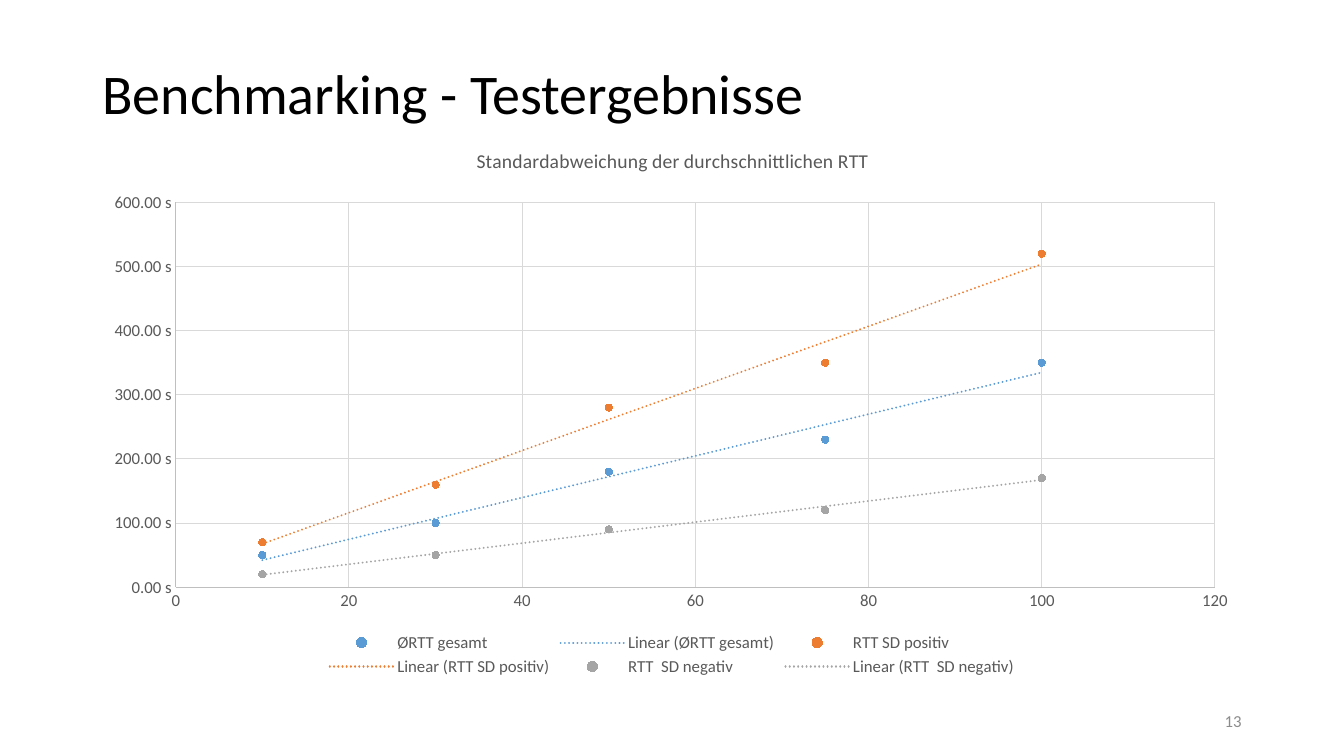
from lxml import etree
from pptx import Presentation
from pptx.chart.data import XyChartData
from pptx.dml.color import RGBColor
from pptx.enum.chart import XL_CHART_TYPE, XL_LEGEND_POSITION, XL_MARKER_STYLE, XL_TICK_MARK
from pptx.enum.text import MSO_ANCHOR, PP_ALIGN
from pptx.oxml import parse_xml
from pptx.oxml.ns import nsdecls, qn
from pptx.util import Cm, Pt

SCATTER = XL_CHART_TYPE.XY_SCATTER
BOTTOM = XL_LEGEND_POSITION.BOTTOM
CIRCLE = XL_MARKER_STYLE.CIRCLE
NO_TICK = XL_TICK_MARK.NONE
MIDDLE = MSO_ANCHOR.MIDDLE
LEFT, RIGHT = PP_ALIGN.LEFT, PP_ALIGN.RIGHT

BLACK = RGBColor(0x00, 0x00, 0x00)
LABEL_GREY = RGBColor(0x59, 0x59, 0x59)
NUMBER_GREY = RGBColor(0x8C, 0x8C, 0x8C)
AXIS_GREY = RGBColor(0xBF, 0xBF, 0xBF)
GRID_GREY = RGBColor(0xD9, 0xD9, 0xD9)
BLUE = RGBColor(0x5B, 0x9B, 0xD5)
ORANGE = RGBColor(0xED, 0x7D, 0x31)
GREY = RGBColor(0xA5, 0xA5, 0xA5)
FONT = "Calibri"

TITLE = "Benchmarking - Testergebnisse"
CHART_TITLE = "Standardabweichung der durchschnittlichen RTT"
PAGE_NUMBER = "13"
CLIENTS = [10, 30, 50, 75, 100]
SERIES = [
    ("ØRTT gesamt", BLUE, [50, 100, 180, 230, 350]),
    ("RTT SD positiv", ORANGE, [70, 160, 280, 350, 520]),
    ("RTT  SD negativ", GREY, [20, 50, 90, 120, 170]),
]
# maximum, step, number format
X_SCALE = (120, 20, "General")
Y_SCALE = (600, 100, '0.00" s"')

MARGIN, CONTENT_WIDTH = Cm(2.33), Cm(29.21)
CHART_HEIGHT = Cm(13.92)
NUMBER_WIDTH = Cm(7.62)
# measured from the chart's top left corner
TITLE_POSITION = {"x": Cm(9.59), "y": Cm(0.4)}
PLOT_POSITION = {"x": Cm(2.1), "y": Cm(1.87), "w": Cm(26.19), "h": Cm(9.7)}


def style_font(font, size, color):
    font.name = FONT
    font.size = Pt(size)
    font.color.rgb = color


def write(frame, text, size, color, align=None):
    para = frame.paragraphs[0]
    para.alignment = align
    span = para.add_run()
    span.text = text
    span.font.bold = False
    style_font(span.font, size, color)
    return para


def style_line(line, color):
    line.color.rgb = color
    line.width = Pt(0.75)


def style_axis(axis, scale):
    axis.minimum_scale = 0
    axis.maximum_scale, axis.major_unit, number_format = scale
    axis.major_tick_mark = axis.minor_tick_mark = NO_TICK
    axis.has_major_gridlines = True
    style_line(axis.major_gridlines.format.line, GRID_GREY)
    style_line(axis.format.line, AXIS_GREY)
    labels = axis.tick_labels
    labels.number_format = number_format
    labels.number_format_is_linked = False
    style_font(labels.font, 12, LABEL_GREY)


def place(element, index, position):
    """Give a chart part a manual layout, as fractions of the chart."""
    layout = element.find(qn("c:layout"))
    if layout is None:
        layout = parse_xml(f"<c:layout {nsdecls('c')}/>")
        element.insert(index, layout)
    manual = etree.SubElement(layout, qn("c:manualLayout"))
    if "w" in position:
        etree.SubElement(manual, qn("c:layoutTarget")).set("val", "inner")
    for side in ("x", "y"):
        etree.SubElement(manual, qn(f"c:{side}Mode")).set("val", "edge")
    for key, length in position.items():
        whole = CONTENT_WIDTH if key in "xw" else CHART_HEIGHT
        etree.SubElement(manual, qn(f"c:{key}")).set("val", str(length / whole))


def add_trend(series_element, color):
    trend = parse_xml(
        f'<c:trendline {nsdecls("c", "a")}><c:spPr><a:ln w="19050" cap="rnd">'
        f'<a:solidFill><a:srgbClr val="{color}"/></a:solidFill>'
        '<a:prstDash val="sysDot"/></a:ln></c:spPr>'
        '<c:trendlineType val="linear"/><c:dispRSqr val="0"/>'
        '<c:dispEq val="0"/></c:trendline>')
    series_element.find(qn("c:xVal")).addprevious(trend)


def add_rtt_chart(page):
    data = XyChartData()
    for name, _, times in SERIES:
        series = data.add_series(name)
        for clients, time in zip(CLIENTS, times):
            series.add_data_point(clients, time)
    chart = page.shapes.add_chart(
        SCATTER, MARGIN, Cm(3.23), CONTENT_WIDTH, CHART_HEIGHT, data).chart
    style_font(chart.font, 12, BLACK)

    chart.has_title = True
    write(chart.chart_title.text_frame, CHART_TITLE, 14, LABEL_GREY)
    place(chart.element.xpath(".//c:chart/c:title")[0], 1, TITLE_POSITION)
    place(chart.element.xpath(".//c:plotArea")[0], 0, PLOT_POSITION)

    chart.has_legend = True
    chart.legend.position = BOTTOM
    chart.legend.include_in_layout = False
    style_font(chart.legend.font, 12, LABEL_GREY)
    style_axis(chart.category_axis, X_SCALE)
    style_axis(chart.value_axis, Y_SCALE)

    plot = chart.plots[0]
    plot.vary_by_categories = False
    elements = chart.element.xpath(".//c:ser")
    for series, element, (_, color, _) in zip(plot.series, elements, SERIES):
        series.format.line.fill.background()
        series.smooth = False
        marker = series.marker
        marker.style, marker.size = CIRCLE, 5
        for part in (marker.format.fill, marker.format.line.fill):
            part.solid()
            part.fore_color.rgb = color
        add_trend(element, color)


def main():
    deck = Presentation()
    deck.slide_width, deck.slide_height = Cm(33.87), Cm(19.05)
    page = deck.slides.add_slide(deck.slide_layouts[5])

    title = page.shapes.title
    title.left, title.top = MARGIN, Cm(0.58)
    title.width, title.height = CONTENT_WIDTH, Cm(3.68)
    title.text_frame.vertical_anchor = MIDDLE
    write(title.text_frame, TITLE, 40, BLACK, LEFT).line_spacing = 0.9

    add_rtt_chart(page)

    number = page.shapes.add_textbox(
        MARGIN + CONTENT_WIDTH - NUMBER_WIDTH, Cm(17.65), NUMBER_WIDTH, Cm(1.02))
    number.text_frame.word_wrap = True
    number.text_frame.vertical_anchor = MIDDLE
    write(number.text_frame, PAGE_NUMBER, 12, NUMBER_GREY, RIGHT)

    deck.save("out.pptx")


if __name__ == "__main__":
    main()
